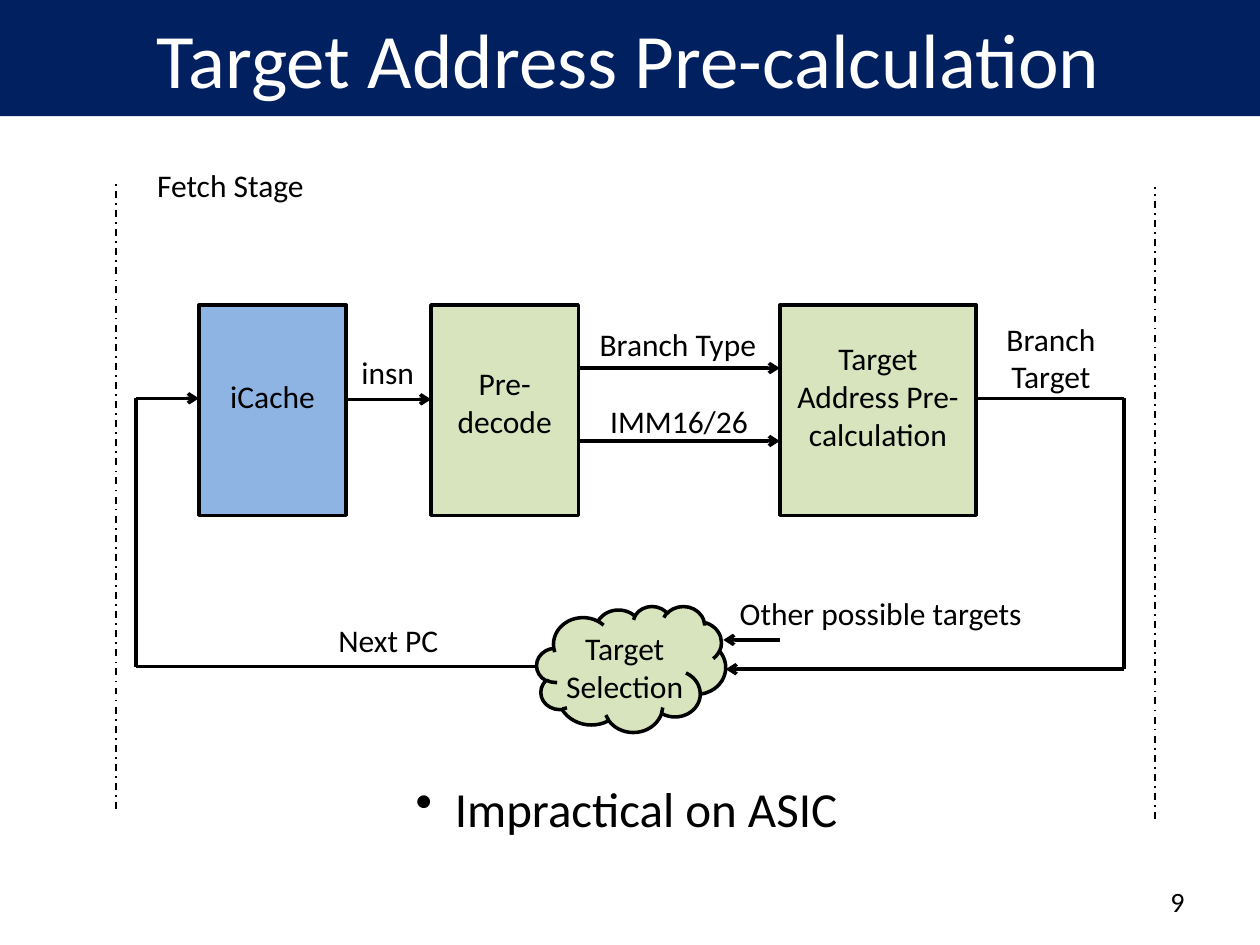
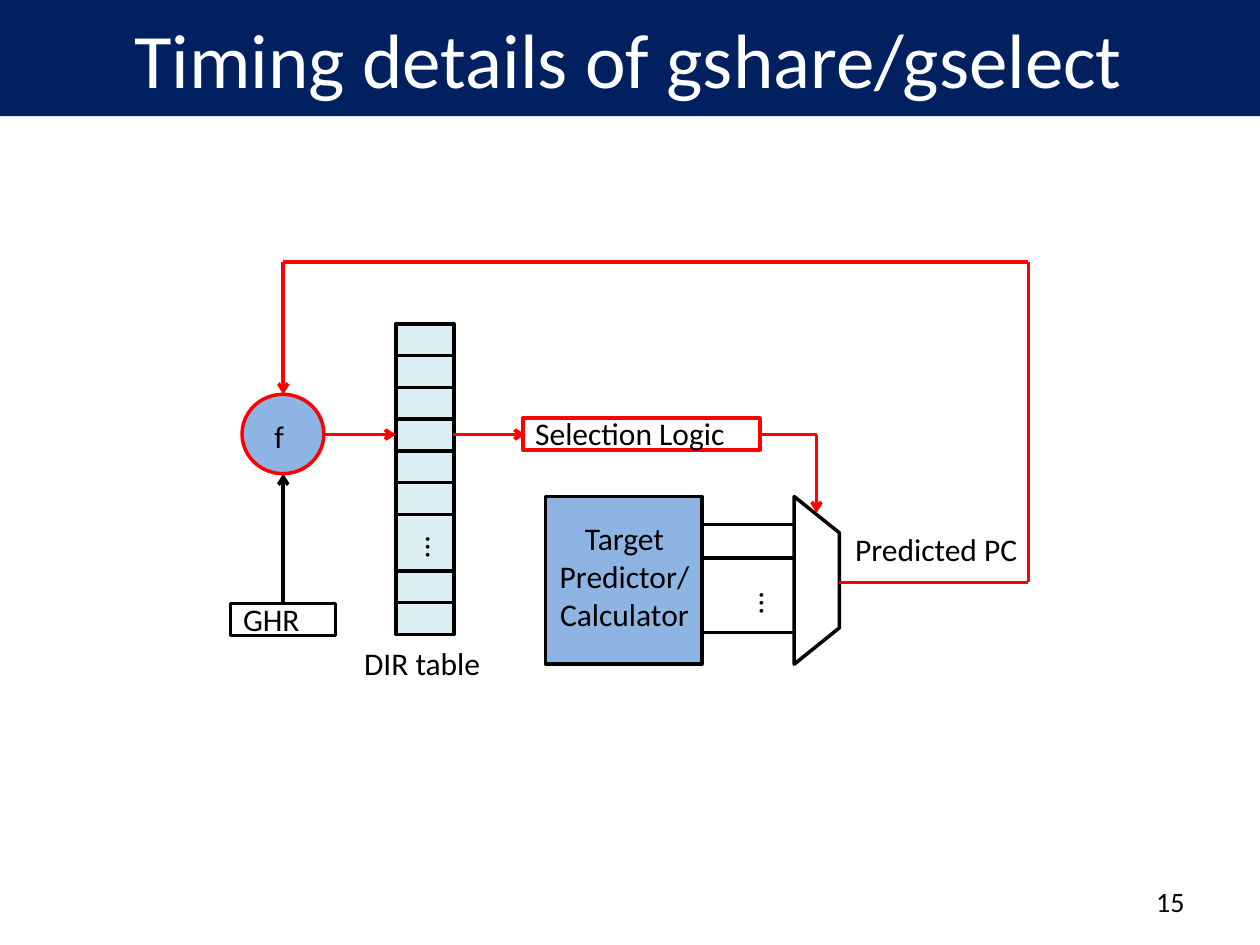
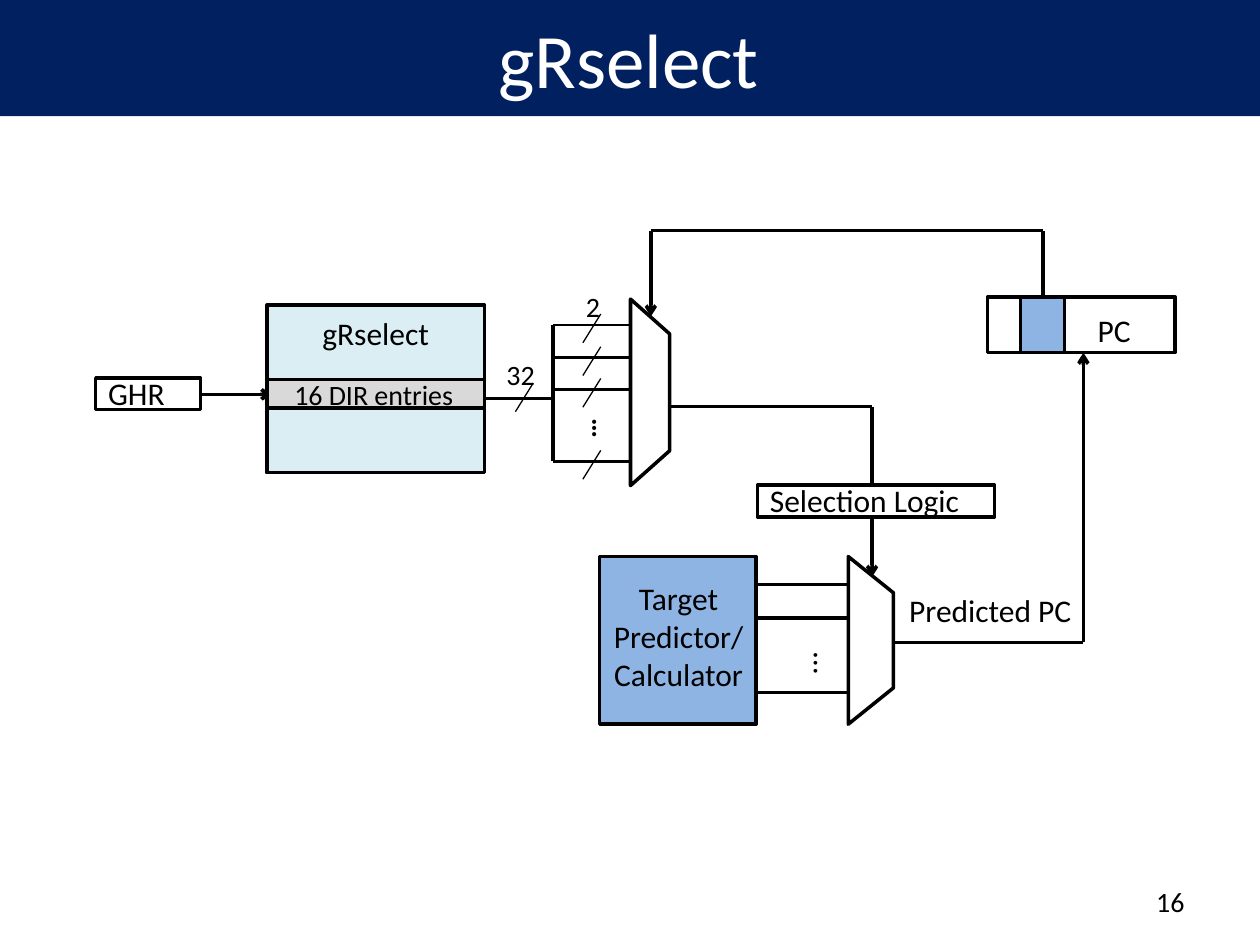
from lxml import etree
from pptx import Presentation
from pptx import util as u
from pptx.dml.color import RGBColor
from pptx.enum import dml, shapes, text
from pptx.oxml.ns import qn

BLACK, WHITE, RED = "000000", "FFFFFF", "FF0000"
NAVY, BLUE, GREEN, PALE, GREY = "002060", "8EB4E3", "D7E4BD", "DBEEF4", "D9D9D9"
FONT = "Calibri"
LINE_H = 1.02
SLOT_H = 0.64
KIND = shapes.MSO_SHAPE
ALIGN = text.PP_ALIGN


def rgb(value):
    return RGBColor.from_string(value)


class Deck:
    def __init__(self):
        self.prs = Presentation()
        self.prs.slide_width, self.prs.slide_height = u.Cm(25.4), u.Cm(19.05)
        self.slide = None

    def start(self, heading, number):
        self.slide = self.prs.slides.add_slide(self.prs.slide_layouts[5])
        title = self.slide.shapes.title
        title.left, title.top = u.Cm(-0.05), u.Cm(0)
        title.width, title.height = u.Cm(25.45), u.Cm(2.34)
        title.fill.solid()
        title.fill.fore_color.rgb = rgb(NAVY)
        self.set_words(title.text_frame, heading, 44, ALIGN.CENTER, WHITE)
        title.text_frame.vertical_anchor = text.MSO_ANCHOR.MIDDLE
        page = self.label(str(number), 18.21, 17.65, 5.92, align=ALIGN.RIGHT, size=16)
        page.vertical_anchor = text.MSO_ANCHOR.MIDDLE

    def set_words(self, frame, words, size, align, color=BLACK, bold=None):
        frame.auto_size = text.MSO_AUTO_SIZE.NONE
        frame.word_wrap = True
        frame.text = words
        for paragraph in frame.paragraphs:
            paragraph.alignment = align
            font = paragraph.font
            font.name, font.size, font.bold = FONT, u.Pt(size), bold
            font.color.rgb = rgb(color)

    def label(self, words, left, top, width, height=LINE_H, align=ALIGN.CENTER,
              size=18, bold=None, vertical=False, loose=False):
        box = self.slide.shapes.add_textbox(
            u.Cm(left), u.Cm(top), u.Cm(width), u.Cm(height))
        frame = box.text_frame
        self.set_words(frame, words, size, align, bold=bold)
        if vertical:
            frame._txBody.bodyPr.set("vert", "eaVert")
        if loose:
            frame.margin_left = frame.margin_right = u.Cm(0.46)
            frame.margin_top = frame.margin_bottom = u.Cm(0.23)
            frame.paragraphs[0].line_spacing = 1.15
            frame.paragraphs[0].space_after = u.Pt(10)
        return frame

    def bullet(self, words, left, top, width, height):
        frame = self.label(words, left, top, width, height, ALIGN.LEFT, 28)
        frame.word_wrap = False
        props = frame.paragraphs[0]._p.get_or_add_pPr()
        props.set("marL", str(u.Cm(0.79)))
        props.set("indent", str(u.Cm(-0.79)))
        mark = etree.Element(qn("a:buChar"), char="•")
        props.insert_element_before(mark, "a:tabLst", "a:defRPr", "a:extLst")

    def block(self, left, top, width, height, fill=None, line=BLACK,
              kind=KIND.FLOWCHART_PROCESS):
        body = self.slide.shapes.add_shape(
            kind, u.Cm(left), u.Cm(top), u.Cm(width), u.Cm(height))
        body.shadow.inherit = False
        if fill:
            body.fill.solid()
            body.fill.fore_color.rgb = rgb(fill)
        else:
            body.fill.background()
        body.line.color.rgb = rgb(line)
        body.line.width = u.Pt(2)
        return body

    def mux(self, left, top, width, height, slant):
        body = self.block(left + (width - height) / 2, top + (height - width) / 2,
                          height, width, kind=KIND.TRAPEZOID)
        body.rotation = 90
        body.adjustments[0] = slant

    def wire(self, *points, color=BLACK, width=2, arrow=False, dash=None):
        for start, end in zip(points, points[1:]):
            segment = self.slide.shapes.add_connector(
                shapes.MSO_CONNECTOR.STRAIGHT, *(u.Cm(v) for v in start + end))
            segment.line.color.rgb = rgb(color)
            segment.line.width = u.Pt(width)
            if dash:
                segment.line.dash_style = dash
            props = segment._element.spPr
            etree.SubElement(props, qn("a:effectLst"))
            if arrow and end == points[-1]:
                etree.SubElement(props.find(qn("a:ln")), qn("a:tailEnd"), type="arrow")

    def slash(self, x, y):
        self.wire((x + 0.18, y - 0.29), (x - 0.18, y + 0.29), width=0.75)

    def register(self, words, left, top, width, line=BLACK):
        self.block(left, top, width, SLOT_H, line=line)
        self.label(words, left, top - 0.2, width, align=ALIGN.LEFT)

    def target_predictor(self, left, top):
        self.mux(left + 5.01, top, 0.91, 3.38, 0.804)
        for offset in (0.56, 1.24, 2.74):
            self.wire((left + 3.17, top + offset), (left + 5.02, top + offset))
        self.label("…", left + 3.81, top + 1.68, 1.27, 0.91, ALIGN.LEFT, vertical=True)
        self.block(left, top, 3.15, 3.38, BLUE)
        self.label("Target\nPredictor/\nCalculator", left, top + 0.33, 3.18, 2.57)
        self.label("Predicted PC", left + 5.99, top + 0.56, 4.17, align=ALIGN.LEFT)
        return left + 5.92, top + 1.73


def precalculation(deck):
    deck.start("Target Address Pre-calculation", 9)
    stages = [("iCache", 4.01, 2.97, BLUE, 7.47, LINE_H),
              ("Pre-decode", 8.69, 2.97, GREEN, 7.21, 1.8),
              ("Target Address Pre-calculation", 15.72, 3.96, GREEN, 6.71, 2.57)]
    for words, left, width, fill, text_top, text_height in stages:
        deck.block(left, 6.15, width, 4.24, fill, kind=KIND.RECTANGLE)
        deck.label(words, left, text_top, width, text_height)
    deck.block(10.82, 12.22, 3.81, 2.54, GREEN, kind=KIND.CLOUD)
    deck.label("Target Selection", 10.59, 12.55, 4.01, 1.8)

    for x, bottom, top in ((2.34, 16.31, 3.71), (23.29, 16.51, 3.76)):
        deck.wire((x, bottom), (x, top), width=1, dash=dml.MSO_LINE.DASH_DOT)
    signals = [((6.99, 8.05), (8.69, 8.05)),
               ((11.66, 7.42), (15.72, 7.42)),
               ((11.66, 8.89), (15.72, 8.89)),
               ((15.72, 12.9), (14.58, 12.9)),
               ((19.7, 8.03), (22.66, 8.03), (22.66, 13.49), (14.63, 13.49)),
               ((10.8, 13.44), (2.74, 13.44), (2.74, 8.03), (4.01, 8.03))]
    for points in signals:
        deck.wire(*points, arrow=True)

    deck.label("Fetch Stage", 2.74, 3.23, 3.81)
    deck.label("insn", 6.99, 6.99, 1.65)
    deck.label("Branch Type", 11.66, 6.43, 4.01)
    deck.label("IMM16/26", 12.04, 7.98, 3.3)
    deck.label("Branch Target", 19.18, 6.32, 4.01, 1.8)
    deck.label("Next PC", 5.94, 12.4, 3.78)
    deck.label("Other possible targets", 14.48, 11.86, 6.55)
    deck.bullet("Impractical on ASIC", 8.13, 15.57, 9.12, 1.45)


def timing(deck):
    deck.start("Timing details of gshare/gselect", 15)
    deck.register("GHR", 4.65, 12.17, 2.11)
    deck.wire((5.71, 12.14), (5.71, 9.55), arrow=True)

    slot_top = 6.53
    for height in [SLOT_H] * 6 + [1.14] + [SLOT_H] * 2:
        deck.block(7.98, slot_top, 1.17, height, PALE)
        slot_top += height
    deck.label("…", 8.08, 10.57, 1.27, 1.45, ALIGN.LEFT, vertical=True)
    deck.label("DIR table", 7.09, 12.85, 3.28, align=ALIGN.LEFT)

    deck.block(4.88, 7.95, 1.65, 1.6, BLUE, RED, KIND.OVAL)
    deck.label("f", 5.28, 8.28, 1.27, align=ALIGN.LEFT)
    deck.register("Selection Logic", 10.54, 8.43, 4.78, RED)
    out_x, out_y = deck.target_predictor(11, 10.01)

    critical_path = [((6.55, 8.76), (7.98, 8.76)),
                     ((9.14, 8.76), (10.59, 8.76)),
                     ((15.29, 8.76), (16.46, 8.76), (16.46, 10.34)),
                     ((out_x, out_y), (20.73, out_y), (20.73, 5.28),
                      (5.71, 5.28), (5.71, 7.95))]
    for points in critical_path:
        deck.wire(*points, color=RED, arrow=True)


def grselect(deck):
    deck.start("gRselect", 16)
    deck.register("GHR", 1.93, 7.62, 2.11)
    deck.wire((4.04, 7.95), (5.49, 7.95), arrow=True)

    deck.block(5.38, 6.15, 4.39, 3.38, PALE)
    deck.label("gRselect", 5.38, 6.2, 4.39)
    entries = deck.block(5.38, 7.65, 4.39, 0.58, GREY, kind=KIND.RECTANGLE).text_frame
    deck.set_words(entries, "16 DIR entries", 16, ALIGN.CENTER)
    entries.word_wrap = False
    entries.vertical_anchor = text.MSO_ANCHOR.MIDDLE
    entries.margin_left, entries.margin_right = u.Cm(0.38), u.Cm(0.46)

    deck.wire((9.78, 8.03), (11.15, 8.03))
    deck.slash(10.57, 8.01)
    deck.wire((11.15, 9.3), (11.15, 6.55))
    for y in (6.55, 7.21, 7.85, 9.3):
        deck.wire((11.15, y), (12.72, y), width=1.5)
        deck.slash(11.93, y + 0.07)
    deck.mux(12.71, 6.03, 0.79, 3.76, 0.89)
    deck.label("32", 9.75, 6.88, 1.75, 1.07, ALIGN.LEFT, 16, loose=True)
    deck.label("2", 11.35, 5.51, 1.55, 1.07, ALIGN.LEFT, 16, loose=True)
    deck.label("…", 11.35, 8.2, 1.68, 1.3, ALIGN.LEFT, 16, True, True, True)

    deck.register("Selection Logic", 15.27, 9.78, 4.78)
    deck.wire((13.51, 8.2), (17.58, 8.2), (17.58, 9.78))
    deck.wire((17.58, 10.41), (17.58, 11.63), arrow=True)
    out_x, out_y = deck.target_predictor(12.09, 11.22)

    deck.block(19.91, 5.99, 3.78, 1.12, kind=KIND.RECTANGLE)
    deck.label("PC", 21.67, 5.92, 1.93, 1.3, ALIGN.LEFT, loose=True)
    deck.block(20.57, 5.99, 0.89, 1.12, BLUE, kind=KIND.RECTANGLE)
    deck.wire((21.03, 5.99), (21.03, 4.65), (13.12, 4.65), (13.12, 6.38), arrow=True)
    deck.wire((out_x, out_y), (21.84, out_y), (21.84, 7.11), arrow=True)


def main():
    deck = Deck()
    precalculation(deck)
    timing(deck)
    grselect(deck)
    deck.prs.save("out.pptx")


if __name__ == "__main__":
    main()
